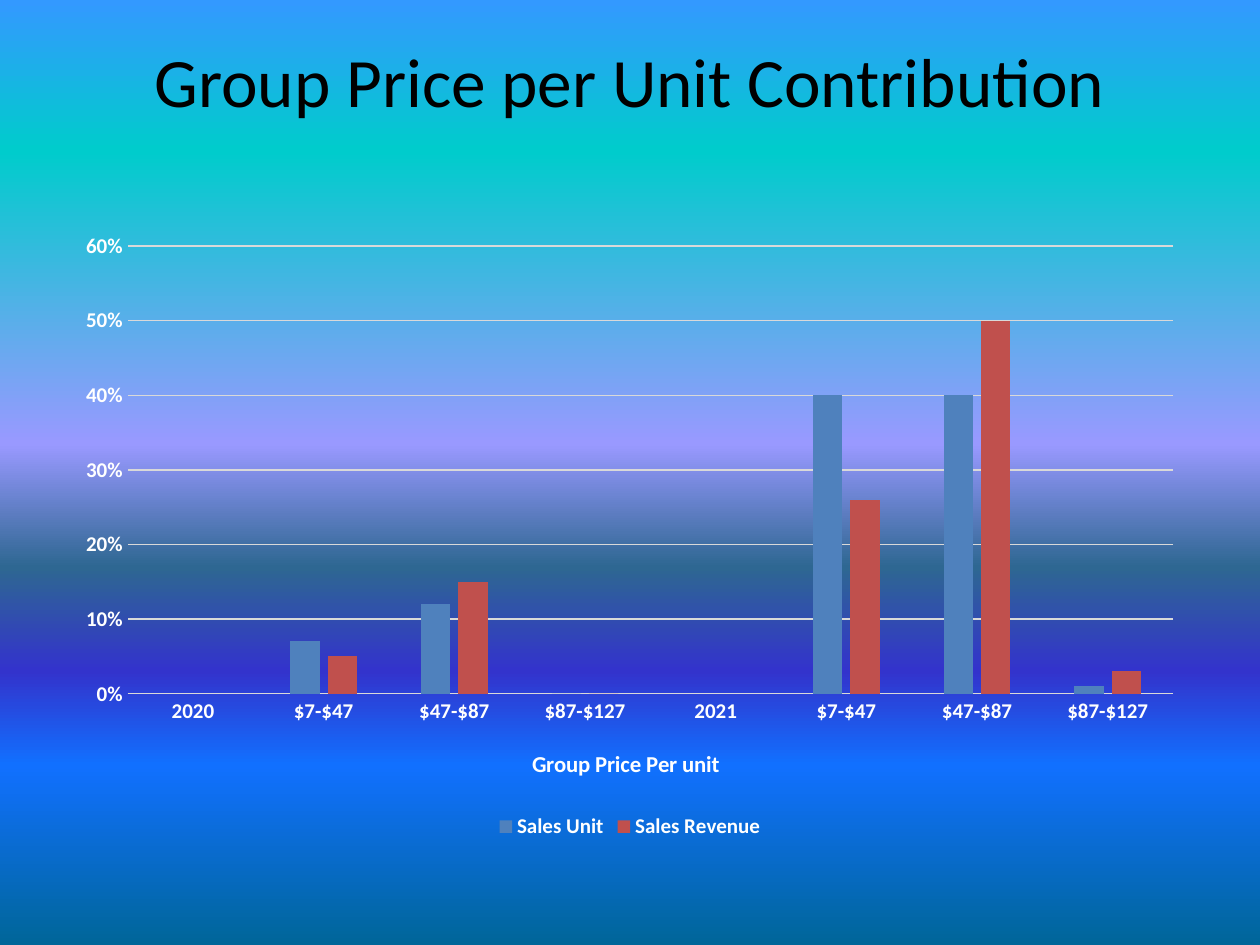
import copy

import pptx
import pptx.chart.data
import pptx.dml.color
import pptx.enum.chart
import pptx.enum.text
import pptx.oxml
import pptx.oxml.ns
import pptx.util
from pptx.util import Inches

RGBColor = pptx.dml.color.RGBColor
BLACK = RGBColor(0x00, 0x00, 0x00)
WHITE = RGBColor(0xFF, 0xFF, 0xFF)
GRID_GREY = RGBColor(0xD9, 0xD9, 0xD9)
UNIT_BLUE = RGBColor(0x4F, 0x81, 0xBD)
REVENUE_RED = RGBColor(0xC0, 0x50, 0x4D)
BACKGROUND_STOPS = [
    (0, RGBColor(0x33, 0x99, 0xFF)),
    (0.16, RGBColor(0x00, 0xCC, 0xCC)),
    (0.47, RGBColor(0x99, 0x99, 0xFF)),
    (0.6, RGBColor(0x2E, 0x67, 0x92)),
    (0.71, RGBColor(0x33, 0x33, 0xCC)),
    (0.81, RGBColor(0x11, 0x70, 0xFF)),
    (1, RGBColor(0x00, 0x66, 0x99)),
]
FONT_NAME = "Calibri"
PRICE_GROUPS = ["$7-$47", "$47-$87", "$87-$127"]
CATEGORIES = ["2020", *PRICE_GROUPS, "2021", *PRICE_GROUPS]
SERIES = [
    ("Sales Unit", [None, 0.07, 0.12, 0, None, 0.4, 0.4, 0.01], UNIT_BLUE),
    ("Sales Revenue", [None, 0.05, 0.15, 0, None, 0.26, 0.5, 0.03], REVENUE_RED),
]


def set_font(font, size, color, bold=False):
    font.name = FONT_NAME
    font.size = pptx.util.Pt(size)
    font.color.rgb = color
    font.bold = bold


def set_line(line):
    line.color.rgb = GRID_GREY
    line.width = pptx.util.Pt(0.75)


def manual_layout(**settings):
    namespace = pptx.oxml.ns.nsdecls("c")
    items = "".join(f'<c:{name} val="{value}"/>' for name, value in settings.items())
    return pptx.oxml.parse_xml(
        f"<c:layout {namespace}><c:manualLayout>{items}</c:manualLayout></c:layout>"
    )


def place_layout(parent, index, layout):
    for old in parent.findall(pptx.oxml.ns.qn("c:layout")):
        parent.remove(old)
    parent.insert(index, layout)


def paint_background(page):
    fill = page.background.fill
    fill.gradient()
    fill.gradient_angle = 270
    stop_list = page.element.find(".//" + pptx.oxml.ns.qn("a:gsLst"))
    for _ in range(len(BACKGROUND_STOPS) - len(stop_list)):
        stop_list.append(copy.deepcopy(stop_list[0]))
    for stop, (position, color) in zip(fill.gradient_stops, BACKGROUND_STOPS):
        stop.position = position
        stop.color.rgb = color


def add_title(page, left, top, width, height):
    box = page.shapes.add_textbox(left, top, width, height)
    frame = box.text_frame
    frame.word_wrap = True
    frame.margin_top = 0
    frame.vertical_anchor = pptx.enum.text.MSO_ANCHOR.TOP
    para = frame.paragraphs[0]
    para.text = "Group Price per Unit Contribution"
    para.alignment = pptx.enum.text.PP_ALIGN.CENTER
    set_font(para.font, 39.6, BLACK)


def style_axes(chart):
    for axis in (chart.category_axis, chart.value_axis):
        axis.major_tick_mark = pptx.enum.chart.XL_TICK_MARK.NONE
        axis.minor_tick_mark = pptx.enum.chart.XL_TICK_MARK.NONE
        set_font(axis.tick_labels.font, 12, WHITE, bold=True)

    set_line(chart.category_axis.format.line)
    title = chart.category_axis.axis_title
    para = title.text_frame.paragraphs[0]
    para.text = "Group Price Per unit"
    set_font(para.font, 13, WHITE, bold=True)
    place_layout(title._element, 1, manual_layout(xMode="edge", yMode="edge", x=0.41, y=0.84))

    values = chart.value_axis
    values.minimum_scale = 0
    values.maximum_scale = 0.6
    values.major_unit = 0.1
    values.format.line.fill.background()
    values.has_major_gridlines = True
    set_line(values.major_gridlines.format.line)
    values.tick_labels.number_format = "0%"
    values.tick_labels.number_format_is_linked = False


def add_contribution_chart(page, left, top, width, height):
    data = pptx.chart.data.CategoryChartData(number_format="0%")
    data.categories = CATEGORIES
    for name, values, _ in SERIES:
        data.add_series(name, values)
    kind = pptx.enum.chart.XL_CHART_TYPE.COLUMN_CLUSTERED
    chart = page.shapes.add_chart(kind, left, top, width, height, data).chart
    set_font(chart.font, 10, BLACK)
    chart.has_title = False

    plot = chart.plots[0]
    plot.vary_by_categories = False
    plot.gap_width = 219
    plot.overlap = -27
    for series, (_, _, color) in zip(plot.series, SERIES):
        series.format.fill.solid()
        series.format.fill.fore_color.rgb = color

    style_axes(chart)
    chart.has_legend = True
    chart.legend.position = pptx.enum.chart.XL_LEGEND_POSITION.BOTTOM
    chart.legend.include_in_layout = False
    set_font(chart.legend.font, 12, WHITE, bold=True)

    plot_area = chart._chartSpace.find(".//" + pptx.oxml.ns.qn("c:plotArea"))
    place_layout(plot_area, 0, manual_layout(
        layoutTarget="inner", xMode="edge", yMode="edge", x=0.057, y=0.041, w=0.922, h=0.718))


def main():
    deck = pptx.Presentation()
    deck.slide_width = Inches(10)
    deck.slide_height = Inches(7.5)
    page = deck.slides.add_slide(deck.slide_layouts[6])
    paint_background(page)
    add_title(page, Inches(0.5), Inches(0.3), Inches(9), Inches(1.25))
    add_contribution_chart(page, Inches(0.5), Inches(1.75), Inches(9), Inches(4.95))
    deck.save("out.pptx")


if __name__ == "__main__":
    main()
